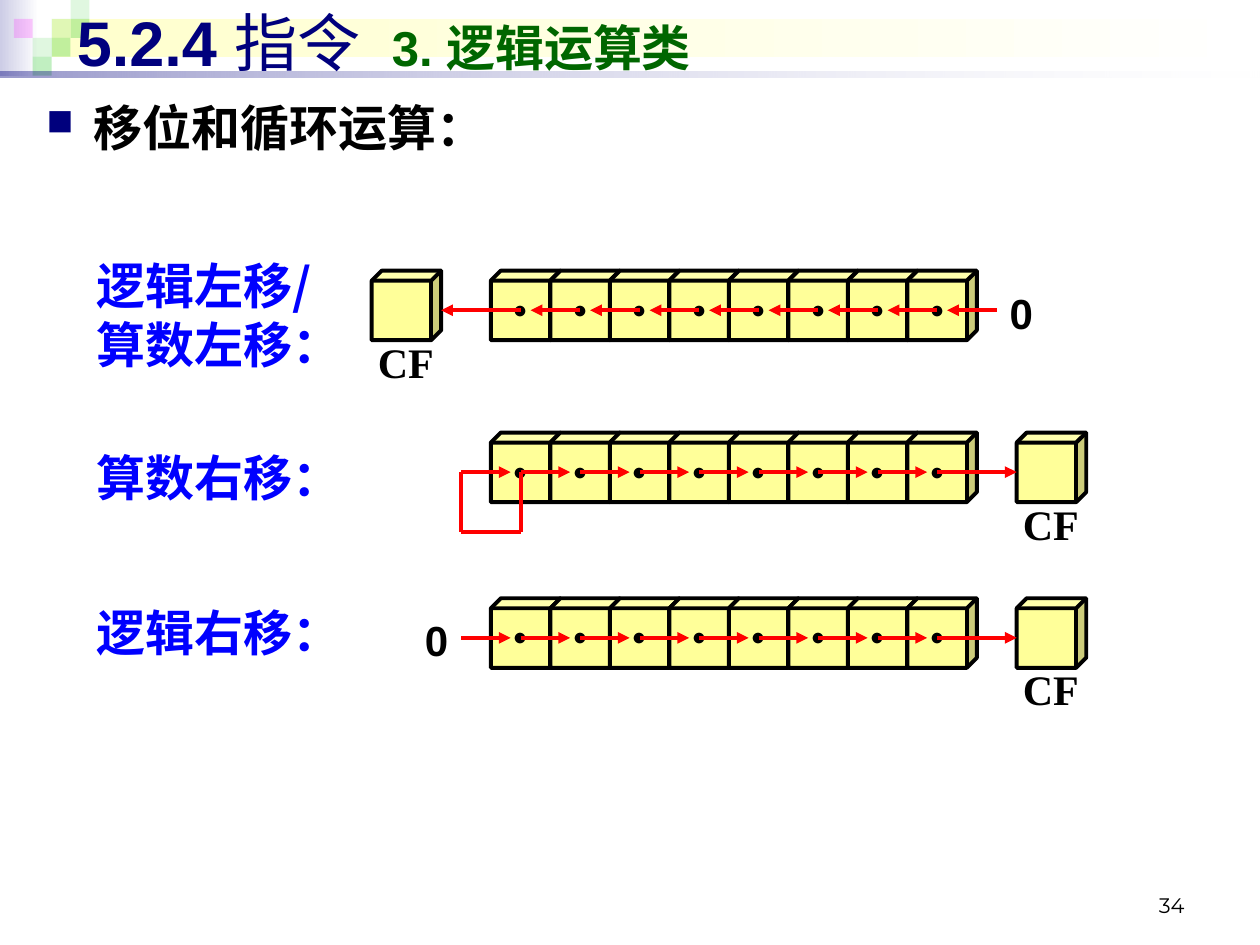
from lxml import etree
from pptx import Presentation
from pptx.dml.color import RGBColor
from pptx.enum import shapes, text
from pptx.oxml.ns import qn
from pptx.util import Pt

HAN = "Noto Sans CJK SC"
CELL, DEPTH, COUNT = 34, 5.74, 8
CUBE = CELL + DEPTH
ROW, DOT = 280.5, 297.5    # left of the first cell, x of its dot
MID = 22.6                 # dot height below the top of a row
SHAFT = 28.3               # length of a short arrow


def rgb(code):
    return RGBColor.from_string(code)


def add(parent, tag, **attrs):
    return etree.SubElement(parent, qn(tag), attrs)


def fade(fill, percents):
    """Set the opacity of each solid colour in a fill element, in order."""
    for color, percent in zip(fill.iter(qn("a:srgbClr")), percents):
        add(color, "a:alpha", val=str(percent * 1000))


class Page:
    ink, red, blue, navy = "000000", "FF0000", "0000FF", "00007D"
    face = "FFFF99"
    weight = 2.25

    def __init__(self, deck):
        self.slide = deck.slides.add_slide(deck.slide_layouts[5])
        self.items = self.slide.shapes

    def font(self, target, size, color, name=HAN, bold=True):
        font = target.font
        font.size, font.bold, font.name = Pt(size), bold, name
        font.color.rgb = rgb(color)
        add(font._element, "a:ea", typeface=HAN)

    def block(self, x, y, w, h, colors, alphas=()):
        """Draw a borderless rectangle, plain or with a two-colour gradient."""
        box = self.items.add_shape(shapes.MSO_SHAPE.RECTANGLE, Pt(x), Pt(y), Pt(w), Pt(h))
        box.shadow.inherit = False
        box.line.fill.background()
        if len(colors) == 1:
            box.fill.solid()
            box.fill.fore_color.rgb = rgb(colors[0])
        else:
            box.fill.gradient()
            box.fill.gradient_angle = 0
            for stop, color in zip(box.fill.gradient_stops, colors):
                stop.color.rgb = rgb(color)
        fade(box._element.spPr, alphas)

    def title(self, x, y, w, h, parts):
        head = self.items.title
        self.items._spTree.append(head._element)  # in front of the banner
        head.left, head.top, head.width, head.height = Pt(x), Pt(y), Pt(w), Pt(h)
        frame = head.text_frame
        frame.margin_top = frame.margin_bottom = 0
        frame.vertical_anchor = text.MSO_ANCHOR.MIDDLE
        para = frame.paragraphs[0]
        para.alignment = text.PP_ALIGN.LEFT
        for words, size, color, bold in parts:
            run = para.add_run()
            run.text = words
            self.font(run, size, color, "Arial", bold)

    def label(self, x, y, w, h, words, size=24, color=ink, name=HAN, bold=True,
              align=text.PP_ALIGN.CENTER, anchor=text.MSO_ANCHOR.TOP):
        frame = self.items.add_textbox(Pt(x), Pt(y), Pt(w), Pt(h)).text_frame
        frame.word_wrap = True
        frame.vertical_anchor = anchor
        frame.text = words
        for para in frame.paragraphs:
            para.alignment = align
            self.font(para, size, color, name, bold)
        return frame

    def heading(self, x, y, w, h, words, color, bullet=False):
        frame = self.label(x, y, w, h, words, 28, color, align=text.PP_ALIGN.LEFT)
        frame.margin_top = Pt(6.6)
        for para in frame.paragraphs:
            para.line_spacing = Pt(33.5)
            if bullet:
                self.bullet(para)

    def bullet(self, para):
        props = para._p.get_or_add_pPr()
        props.set("marL", str(Pt(27)))
        props.set("indent", str(Pt(-27)))
        last = props.find(qn("a:defRPr"))
        props.remove(last)
        add(add(props, "a:buClr"), "a:srgbClr", val=self.navy)
        add(props, "a:buSzPct", val="75000")
        add(props, "a:buChar", char="■")
        props.append(last)

    def cube(self, x, y, words=""):
        box = self.items.add_shape(shapes.MSO_SHAPE.CUBE, Pt(x), Pt(y), Pt(CUBE), Pt(CUBE))
        box.adjustments[0] = DEPTH / CUBE
        box.shadow.inherit = False
        box.fill.solid()
        box.fill.fore_color.rgb = rgb(self.face)
        box.line.color.rgb = rgb(self.ink)
        box.line.width = Pt(self.weight)
        if words:
            frame = box.text_frame
            frame.word_wrap = False
            frame.vertical_anchor = text.MSO_ANCHOR.MIDDLE
            frame.text = words
            para = frame.paragraphs[0]
            para.alignment = text.PP_ALIGN.CENTER
            self.font(para, 24, self.ink)

    def line(self, start, end, arrow=True):
        link = self.items.add_connector(
            shapes.MSO_CONNECTOR.STRAIGHT, *(Pt(v) for v in (*start, *end)))
        link.line.color.rgb = rgb(self.red)
        link.line.width = Pt(self.weight)
        if arrow:
            add(link.line._get_or_add_ln(), "a:tailEnd", type="triangle")
        add(link._element.spPr, "a:effectLst")

    def flag(self, x, y):
        """Draw the carry cube with its caption."""
        self.cube(x, y)
        self.label(x - 11.5, y + 34, 62, 36, "CF", name="Times New Roman")

    def zero(self, x, y):
        self.label(x, y + 6, 39.6, 36, "0", name="Arial")

    def shift(self, y, carry, left=False):
        """Draw a row of bits, its carry cube and the arrows between them."""
        for i in range(COUNT):
            self.cube(ROW + CELL * i, y, "·")
        self.flag(carry, y)
        mid = y + MID
        for i in range(COUNT + 1):
            if left:
                start = DOT + CELL * i
                end = start - SHAFT if i else carry + CUBE
            else:
                start = DOT + CELL * (i - 1)
                end = start + SHAFT if i < COUNT else carry
            self.line((start, mid), (end, mid))


def main():
    deck = Presentation()
    deck.slide_width, deck.slide_height = Pt(720), Pt(540)
    page = Page(deck)

    page.block(0, 0, 22.3, 43.2, ["CDCDE6", "FFFFFF"])
    page.block(29.5, 10.8, 687.6, 21.6, ["FFFFCC", "FFFFFF"])
    tile, green, pink = 10.8, "33CC33", "FF00FF"
    for col, row, color, alpha in [
            (2, 1, green, 15), (3, 0, green, 15), (3, 1, green, 30), (1, 2, green, 15),
            (0, 1, pink, 20), (2, 2, green, 30), (1, 3, green, 30)]:
        page.block(7.9 + tile * col, tile * row, tile, tile, [color], [alpha])
    page.block(0, 41, 720, 3.6, [page.navy, "FFFFFF"], [40, 10])

    page.title(36.7, -2.2, 674.6, 51.1, [
        ("5.2.4 ", 36, page.navy, True),
        ("指令\t", 36, page.navy, False),
        ("3. 逻辑运算类", 28, "006600", True)])
    page.heading(19.4, 49, 674.6, 45.4, "移位和循环运算：", page.ink, bullet=True)
    page.label(516.2, 491.8, 167.8, 36, "34", 12, name="Montserrat", bold=False,
               align=text.PP_ALIGN.RIGHT, anchor=text.MSO_ANCHOR.BOTTOM)

    top, middle, bottom = 154.7, 247.2, 341.9
    before, after = 212.4, 581
    page.shift(top, before, left=True)
    page.zero(563.8, top)
    page.shift(middle, after)
    page.shift(bottom, after)
    page.zero(229.7, bottom)

    high, low = middle + MID, middle + MID + CELL
    loop = [(DOT, high), (DOT, low), (DOT - CELL, low), (DOT - CELL, high)]
    for start, end in zip(loop, loop[1:]):
        page.line(start, end, arrow=False)

    for y, h, words in [(139.7, 74.2, "逻辑左移/\n算数左移："),
                        (249.1, 41, "算数右移："), (337.7, 41, "逻辑右移：")]:
        page.heading(48.2, y, 170, h, words, page.blue)

    deck.save("out.pptx")


if __name__ == "__main__":
    main()
